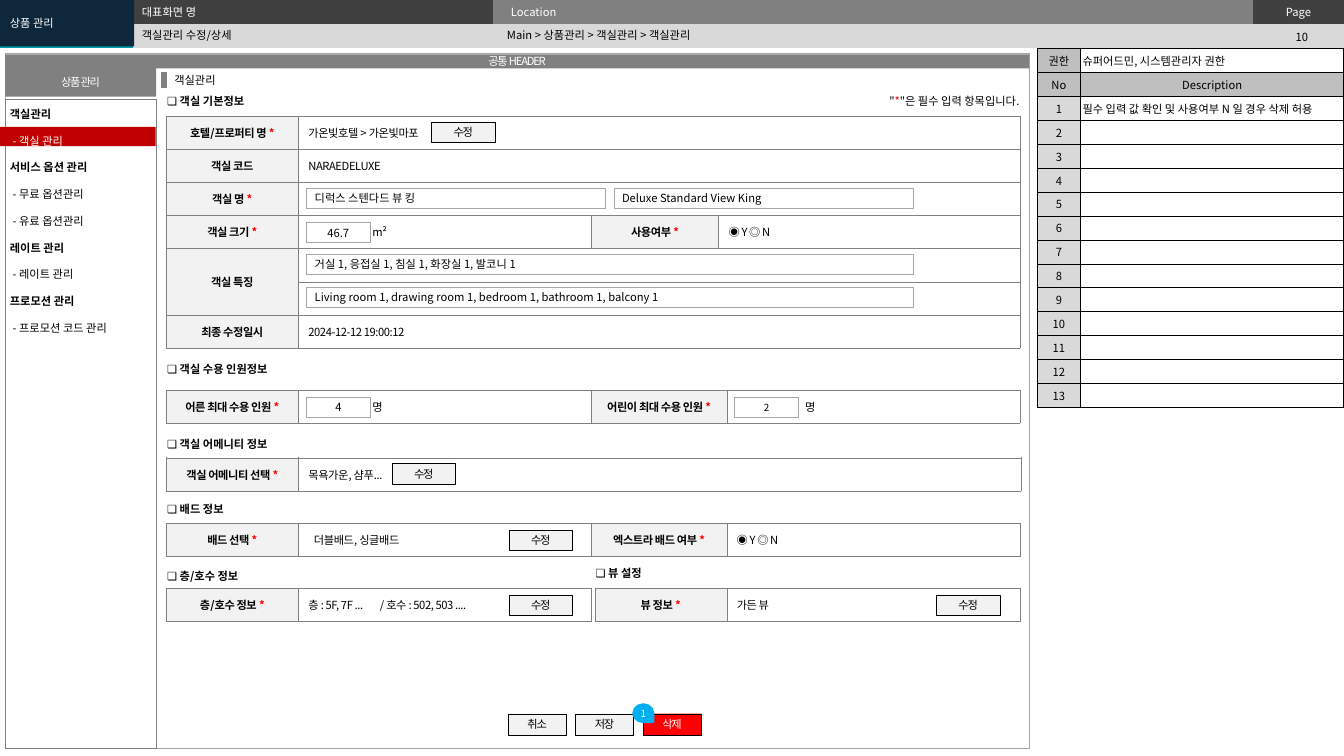
import pptx
import pptx.util
import pptx.dml.color
import pptx.enum.shapes
import pptx.enum.text
import pptx.oxml.ns
from lxml import etree

Pt = pptx.util.Pt
PRESET = pptx.enum.shapes.MSO_SHAPE
ALIGN = {"l": pptx.enum.text.PP_ALIGN.LEFT, "c": pptx.enum.text.PP_ALIGN.CENTER,
         "r": pptx.enum.text.PP_ALIGN.RIGHT}
MIDDLE = pptx.enum.text.MSO_ANCHOR.MIDDLE
NO_STYLE = "{2D5ABB26-0587-4C30-8999-92F81FD0307C}"
COLORS = {"black": "000000", "white": "FFFFFF", "red": "FF0000", "navy": "0E273B",
          "teal": "009CA6", "charcoal": "404040", "gray": "808080", "border": "A6A6A6",
          "head": "BFBFBF", "silver": "D9D9D9", "label": "F2F2F2", "selected": "C00000",
          "badge": "00B0F0"}


def rgb(name):
    return pptx.dml.color.RGBColor.from_string(COLORS[name])


def add_xml(parent, tag, **attributes):
    return etree.SubElement(parent, pptx.oxml.ns.qn(tag), attributes)


class Wireframe:
    font = "Noto Sans CJK KR"

    def __init__(self, slide):
        self.shapes = slide.shapes

    def fill_paragraph(self, paragraph, text, align="l", color="black", bold=False, size=8,
                       spacing=0):
        """Add the text as runs; an asterisk becomes a red required mark."""
        paragraph.alignment = ALIGN[align]
        for piece in filter(None, text.partition("*")):
            run = paragraph.add_run()
            run.text = piece
            run.font.name = self.font
            run.font.size = Pt(size)
            run.font.bold = bold
            run.font.color.rgb = rgb("red" if piece == "*" else color)
            properties = run.font._element
            add_xml(properties, "a:ea", typeface=self.font)
            if spacing:
                properties.set("spc", str(round(spacing * 100)))

    def frame(self, shape, inset):
        frame = shape.text_frame
        frame.word_wrap = True
        frame.vertical_anchor = MIDDLE
        frame.margin_left = frame.margin_right = Pt(inset)
        frame.margin_top = frame.margin_bottom = 0
        return frame

    def text(self, x, y, width, text, height=17.3, **style):
        label = self.shapes.add_textbox(Pt(x), Pt(y), Pt(width), Pt(height))
        self.fill_paragraph(self.frame(label, 7.2).paragraphs[0], text, **style)

    def box(self, x, y, width, height, fill=None, line=None, weight=0.25, text="",
            inset=0, preset=PRESET.RECTANGLE, **style):
        box = self.shapes.add_shape(preset, Pt(x), Pt(y), Pt(width), Pt(height))
        box.shadow.inherit = False
        if fill:
            box.fill.solid()
            box.fill.fore_color.rgb = rgb(fill)
        else:
            box.fill.background()
        if line:
            box.line.color.rgb = rgb(line)
            box.line.width = Pt(weight)
        else:
            box.line.fill.background()
        if text:
            self.fill_paragraph(self.frame(box, inset).paragraphs[0], text, **style)
        return box

    def field(self, x, y, width, text, **style):
        self.box(x, y, width, 14.4, "white", "border", 0.5, text, 5.8, **style)

    def button(self, x, y, text, width=45.4, height=14.4, fill="label", color="black"):
        self.box(x, y, width, height, fill, "black", text=text, align="c", color=color,
                 spacing=-0.9)

    def rule(self, x, top, bottom, color, weight):
        rule = self.shapes.add_connector(pptx.enum.shapes.MSO_CONNECTOR.STRAIGHT,
                                         Pt(x), Pt(top), Pt(x), Pt(bottom))
        rule.line.color.rgb = rgb(color)
        rule.line.width = Pt(weight)
        add_xml(rule._element.spPr, "a:effectLst")

    def table(self, x, y, widths, row_count, row_height):
        frame = self.shapes.add_table(row_count, len(widths), Pt(x), Pt(y), Pt(sum(widths)),
                                      Pt(row_count * row_height))
        table = frame.table
        table.first_row = table.horz_banding = False
        table._tbl.tblPr.find(pptx.oxml.ns.qn("a:tableStyleId")).text = NO_STYLE
        for column, width in zip(table.columns, widths):
            column.width = Pt(width)
        for row in table.rows:
            row.height = Pt(row_height)
        return table

    def cell(self, cell, text, fill=None, border=None, weight=0.25, inset=7.2, pad=3.6, **style):
        cell.vertical_anchor = MIDDLE
        cell.margin_left = cell.margin_right = Pt(inset)
        cell.margin_top = cell.margin_bottom = Pt(pad)
        for side in ("a:lnL", "a:lnR", "a:lnT", "a:lnB") if border else ():
            line = add_xml(cell._tc.get_or_add_tcPr(), side, w=str(Pt(weight)))
            add_xml(add_xml(line, "a:solidFill"), "a:srgbClr", val=COLORS[border])
        if fill:
            cell.fill.solid()
            cell.fill.fore_color.rgb = rgb(fill)
        paragraph = cell.text_frame.paragraphs[0]
        if text:
            self.fill_paragraph(paragraph, text, **style)
        else:
            add_xml(paragraph._p, "a:endParaRPr", sz="800")

    def form(self, x, y, widths, rows, indents=None):
        """Table of label and value pairs; indents gives the left margin of single cells."""
        table = self.table(x, y, widths, len(rows), 23.7)
        for r, row in enumerate(rows):
            for c in range(len(widths)):
                text = row[c] if c < len(row) else ""
                is_label = c == 0 or (c == 2 and len(row) > 2)
                self.cell(table.cell(r, c), text, "label" if is_label else "white", "gray",
                          bold=is_label, align="c" if is_label else "l", spacing=-0.3)
            if len(row) < len(widths):
                table.cell(r, len(row) - 1).merge(table.cell(r, len(widths) - 1))
        for position, indent in (indents or {}).items():
            table.cell(*position).margin_left = Pt(indent)
        return table

    def menu(self, x, y, width, height, entries):
        frame = self.frame(self.shapes.add_textbox(Pt(x), Pt(y), Pt(width), Pt(height)), 7.2)
        frame.vertical_anchor = pptx.enum.text.MSO_ANCHOR.TOP
        frame.margin_top = Pt(3.6)
        for i, entry in enumerate(entries):
            paragraph = frame.add_paragraph() if i else frame.paragraphs[0]
            paragraph.line_spacing = Pt(19.1)
            is_item = entry.startswith("-")
            if is_item:
                paragraph._p.get_or_add_pPr().set("marL", str(Pt(2)))
            self.fill_paragraph(paragraph, entry, bold=not is_item,
                                color="white" if i == 1 else "black")


def build_header(page):
    table = page.table(0, 0, [95, 257, 543, 65], 2, 17.1)
    fills = [["teal", "charcoal", "gray", "charcoal"], ["teal"] + ["silver"] * 3]
    captions = {(0, 2): ("Location", "l"), (0, 3): ("Page", "c")}
    for r, row in enumerate(fills):
        for c, fill in enumerate(row):
            text, align = captions.get((r, c), ("", "l"))
            page.cell(table.cell(r, c), text, fill, inset=13, pad=2.6, align=align, color="white")
    table.cell(0, 0).merge(table.cell(1, 0))
    page.text(898.6, 17.6, 62.6, "10", align="c")
    page.text(94.3, 16.7, 261.4, "객실관리 수정/상세")
    page.text(355, 16.3, 531, "Main > 상품관리 > 객실관리 > 객실관리")
    page.text(94.3, 0, 260.6, "대표화면 명", color="white")
    page.box(0, 0, 95.8, 33.1, "navy", text="상품 관리", inset=7.2, color="white")


def build_description(page):
    rows = [("권한", "슈퍼어드민, 시스템관리자 권한"), ("No", "Description"),
            ("1", "필수 입력 값 확인 및 사용여부 N 일 경우 삭제 허용")]
    rows += [(str(n), "") for n in range(2, 14)]
    table = page.table(740.9, 34.6, [31, 188], len(rows), 17.1)
    for r, (number, note) in enumerate(rows):
        style = dict(border="black", weight=0.5, inset=1.4, pad=2.6)
        page.cell(table.cell(r, 0), number, "head" if r < 2 else "silver", align="c", **style)
        page.cell(table.cell(r, 1), note, "head" if r == 1 else "white",
                  align="c" if r == 1 else "l", **style)


def build_sidebar(page):
    page.box(3.6, 38.2, 731.5, 496.1, line="border")
    page.box(3.6, 70.6, 108, 463.7, line="gray")
    for y, width, height, text in [(38.9, 731.5, 10.1, "공통 HEADER"),
                                   (48.2, 108, 20.9, "상품 관리")]:
        page.box(3.6, y, width, height, "gray", text=text, align="c", color="white", spacing=-0.9)
    page.box(0, 90.7, 111.2, 13.7, "selected")
    page.menu(0, 63.4, 113.8, 178.6, [
        "객실관리", "- 객실 관리", "서비스 옵션 관리", "- 무료 옵션관리", "- 유료 옵션관리",
        "레이트 관리", "- 레이트 관리", "프로모션 관리", "- 프로모션 코드 관리"])


def build_forms(page):
    page.text(117.4, 48.6, 173.5, "객실관리")
    page.rule(117.4, 51.1, 62.6, "gray", 4.5)
    page.text(614.2, 63.4, 121, '"*"은 필수 입력 항목입니다.', align="r")
    for x, y, title in [(112.3, 63.4, "객실 기본정보"), (112.3, 254.9, "객실 수용 인원정보"),
                        (112.3, 308.9, "객실 어메니티 정보"), (112.3, 355, "배드 정보"),
                        (112.3, 402.5, "층/호수 정보"), (418.3, 401, "뷰 설정")]:
        page.text(x, y, 129.6, "❏ " + title, bold=True)

    left, label, value = 118.8, 94.3, 209.5
    four_columns = [label, value, 96.5, value]
    basics = page.form(left, 82.8, [label, value, 90.7, 215.3], [
        ["호텔/프로퍼티 명 *", "가온빛호텔 > 가온빛마포"],
        ["객실 코드", "NARAEDELUXE"],
        ["객실 명 *", ""],
        ["객실 크기 *", "m²", "사용여부 *", "◉ Y ◎ N"],
        ["객실 특징", ""],
        ["", ""],
        ["최종 수정일시", "2024-12-12 19:00:12"]], {(3, 1): 53})
    basics.cell(4, 0).merge(basics.cell(5, 0))
    page.form(left, 278.6, four_columns,
              [["어른 최대 수용 인원 *", "명", "어린이 최대 수용 인원 *", "명"]],
              {(0, 1): 53, (0, 3): 56})
    page.form(left, 326.9, [label, 516.2], [["객실 어메니티 선택 *", "목욕가운, 샴푸..."]])
    page.form(left, 373.9, four_columns,
              [["배드 선택 *", "더블배드, 싱글배드", "엑스트라 배드 여부 *", "◉ Y ◎ N"]],
              {(0, 1): 11.2})
    floors = page.form(left, 420.2, [label, value],
                       [["층/호수 정보 *", "층 : 5F, 7F ...\t/ 호수 : 502, 503 ...."]])
    floor_paragraph = floors.cell(0, 1).text_frame.paragraphs[0]
    tabs = add_xml(floor_paragraph._p.get_or_add_pPr(), "a:tabLst")
    add_xml(tabs, "a:tab", pos=str(Pt(51)), algn="l")
    page.form(424.8, 420.2, [label, value], [["뷰 정보 *", "가든 뷰"]])

    page.field(219, 134.6, 213.6, "디럭스 스텐다드 뷰 킹")
    page.field(438.5, 134.6, 213.6, "Deluxe Standard View King")
    page.field(219, 181.4, 433.4, "거실 1, 응접실 1, 침실 1, 화장실 1, 발코니 1")
    page.field(219, 205.2, 433.4, "Living room 1, drawing room 1, bedroom 1, bathroom 1, balcony 1")
    for x, y, amount, size in [(219, 159.1, "46.7", 8), (219, 283.7, "4", 8),
                               (524.9, 283.7, "2", 7)]:
        page.field(x, y, 45.4, amount, align="c", size=size)
    for x, y in [(308.2, 87.1), (280, 331.2), (363.6, 378.7), (363.6, 424.8), (668.9, 424.8)]:
        page.button(x, y, "수정")


def build_actions(page):
    for i, (text, fill, color) in enumerate([("취소", "label", "black"), ("저장", "label", "black"),
                                             ("삭제", "red", "white")]):
        page.button(363 + 48.2 * i, 509.8, text, 41.4, 15.1, fill, color)
    badge = page.box(453.4, 502.6, 12.2, 13.7, "badge", "badge", 2, "1", preset=PRESET.TEAR,
                     align="c", color="white", size=7)
    badge.rotation = 90
    badge.text_frame._txBody.bodyPr.set("vert", "vert270")


def main():
    deck = pptx.Presentation()
    deck.slide_width, deck.slide_height = Pt(960), Pt(540)
    page = Wireframe(deck.slides.add_slide(deck.slide_layouts[6]))
    for build in (build_header, build_sidebar, build_description, build_forms, build_actions):
        build(page)
    deck.save("out.pptx")


if __name__ == "__main__":
    main()
